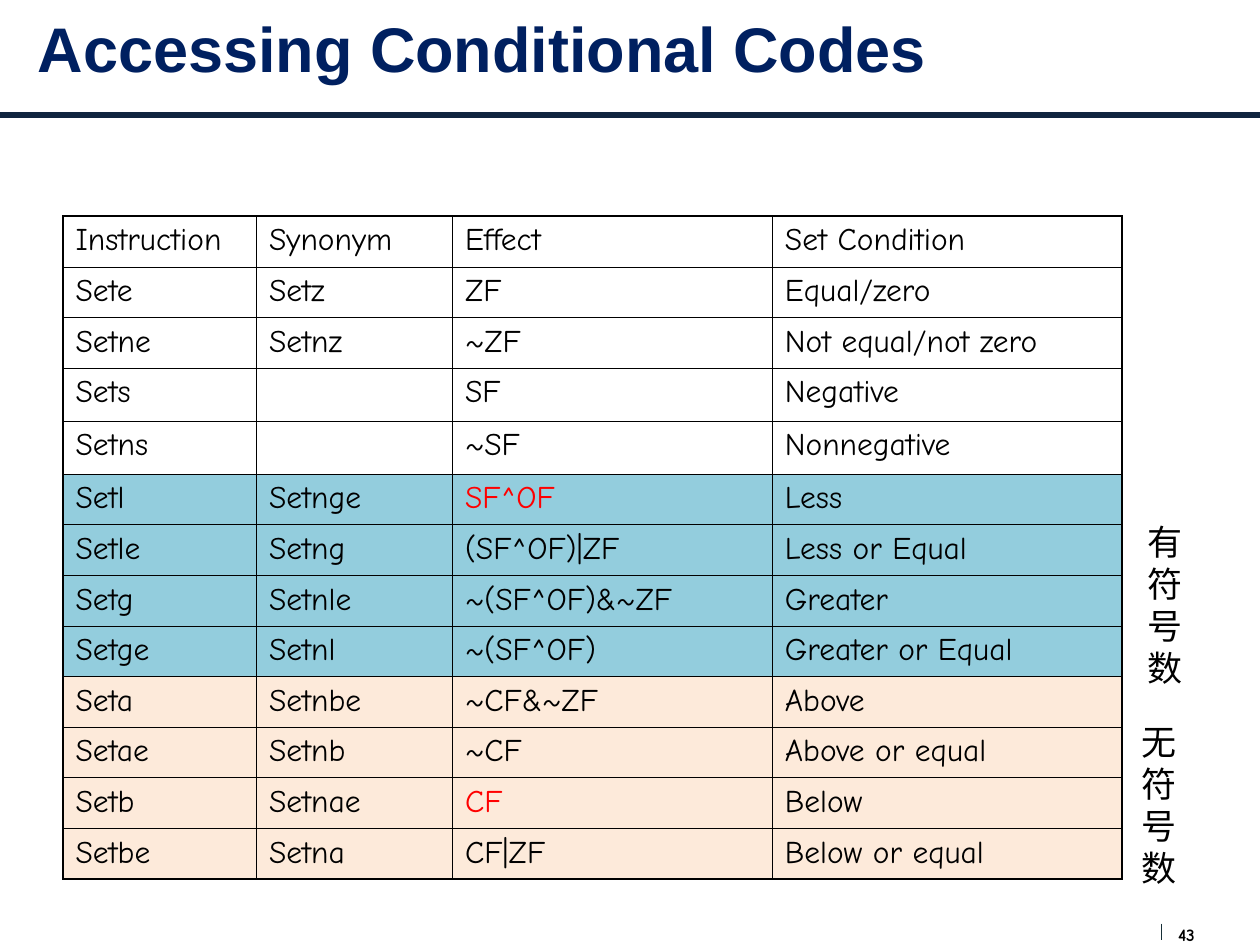
"""Build the slide on accessing conditional codes."""
from dataclasses import dataclass

from lxml.etree import SubElement
from pptx import Presentation
from pptx.dml.color import RGBColor
from pptx.enum.shapes import MSO_CONNECTOR
from pptx.enum.text import MSO_ANCHOR, MSO_AUTO_SIZE
from pptx.oxml.ns import qn
from pptx.util import Cm, Pt


@dataclass(frozen=True)
class Theme:
    heading_font: str = "Arial"
    body_font: str = "Comic Neue"
    title: str = "002060"
    rule: str = "10253F"
    tick: str = "172F37"
    ink: str = "000000"
    accent: str = "FF0000"
    signed: str = "93CDDD"
    unsigned: str = "FDEADA"
    title_size: float = 36
    label_size: float = 20
    cell_size: float = 18
    number_size: float = 10
    outer_border: float = 1.08
    inner_border: float = 0.45


class SlideBuilder:
    def __init__(self, slide, theme):
        self.s = slide
        self.theme = theme

    def style(self, p, size, color=None, font=None, bold=False):
        p.font.name = font or self.theme.body_font
        p.font.size = Pt(size)
        p.font.bold = bold
        p.font.color.rgb = RGBColor.from_string(color or self.theme.ink)

    def text(self, box, lines, size, wrap=True, inset=True,
             anchor=MSO_ANCHOR.TOP, **font):
        tf = self.s.shapes.add_textbox(*map(Cm, box)).text_frame
        tf.word_wrap = wrap
        tf.auto_size = MSO_AUTO_SIZE.NONE if wrap else MSO_AUTO_SIZE.SHAPE_TO_FIT_TEXT
        tf.vertical_anchor = anchor
        if not inset:
            tf.margin_left = tf.margin_right = tf.margin_top = tf.margin_bottom = 0
        tf.text = "\n".join(lines)
        for p in tf.paragraphs:
            self.style(p, size, **font)

    def line(self, start, end, color, width):
        ends = map(Cm, (*start, *end))
        c = self.s.shapes.add_connector(MSO_CONNECTOR.STRAIGHT, *ends)
        c.line.color.rgb = RGBColor.from_string(color)
        c.line.width = Pt(width)
        SubElement(c._element.spPr, qn("a:effectLst"))

    def border(self, cell, outer_sides):
        tc_pr = cell._tc.get_or_add_tcPr()
        for side in "LRTB":
            outer = side in outer_sides
            width = self.theme.outer_border if outer else self.theme.inner_border
            ln = SubElement(tc_pr, qn(f"a:ln{side}"), w=str(Pt(width)))
            fill = SubElement(ln, qn("a:solidFill"))
            SubElement(fill, qn("a:srgbClr"), val=self.theme.ink)

    def table(self, left, top, widths, heights, rows, fills, accents):
        box = map(Cm, (left, top, sum(widths), sum(heights)))
        table = self.s.shapes.add_table(len(rows), len(widths), *box).table
        table.first_row = table.horz_banding = False
        for column, width in zip(table.columns, widths):
            column.width = Cm(width)
        for row, height in zip(table.rows, heights):
            row.height = Cm(height)
        last_row, last_col = len(rows) - 1, len(widths) - 1
        for i, row in enumerate(rows):
            for j, value in enumerate(row):
                cell = table.cell(i, j)
                cell.text = value
                color = self.theme.accent if value in accents else self.theme.ink
                self.style(cell.text_frame.paragraphs[0], self.theme.cell_size, color)
                edges = {"L": j == 0, "R": j == last_col, "T": i == 0, "B": i == last_row}
                self.border(cell, [side for side, outer in edges.items() if outer])
                if fills[i]:
                    cell.fill.solid()
                    cell.fill.fore_color.rgb = RGBColor.from_string(fills[i])
                else:
                    cell.fill.background()


PLAIN_ROWS = [
    ("Instruction", "Synonym", "Effect", "Set Condition"),
    ("Sete", "Setz", "ZF", "Equal/zero"),
    ("Setne", "Setnz", "~ZF", "Not equal/not zero"),
    ("Sets", "", "SF", "Negative"),
    ("Setns", "", "~SF", "Nonnegative"),
]
SIGNED_ROWS = [
    ("Setl", "Setnge", "SF^OF", "Less"),
    ("Setle", "Setng", "(SF^OF)|ZF", "Less or Equal"),
    ("Setg", "Setnle", "~(SF^OF)&~ZF", "Greater"),
    ("Setge", "Setnl", "~(SF^OF)", "Greater or Equal"),
]
UNSIGNED_ROWS = [
    ("Seta", "Setnbe", "~CF&~ZF", "Above"),
    ("Setae", "Setnb", "~CF", "Above or equal"),
    ("Setb", "Setnae", "CF", "Below"),
    ("Setbe", "Setna", "CF|ZF", "Below or equal"),
]


def main():
    prs = Presentation()
    prs.slide_width, prs.slide_height = Cm(25.4), Cm(19.05)
    theme = Theme()
    b = SlideBuilder(prs.slides.add_slide(prs.slide_layouts[6]), theme)

    b.line((0, 2.32), (25.4, 2.32), theme.rule, 3)
    b.text((23.75, 18.62, 0.86, 0.43), ["43"], theme.number_size, inset=False, bold=True)
    b.line((23.42, 18.62), (23.42, 18.95), theme.tick, 0.75)
    b.text((0.51, 0, 23.5, 1.9), ["Accessing Conditional Codes"], theme.title_size,
           anchor=MSO_ANCHOR.MIDDLE, color=theme.title, font=theme.heading_font, bold=True)

    groups = [(PLAIN_ROWS, None), (SIGNED_ROWS, theme.signed), (UNSIGNED_ROWS, theme.unsigned)]
    rows = [row for group, _ in groups for row in group]
    fills = [fill for group, fill in groups for _ in group]
    heights = [1.02 if all(row) else 1.07 for row in rows]
    b.table(1.27, 4.36, (3.9, 3.95, 6.45, 7.05), heights, rows, fills, {"SF^OF", "CF"})

    for left, top, first in ((22.89, 10.36, "有符"), (22.76, 14.4, "无符")):
        b.text((left, top, 1.91, 1.96), [first, "号数"], theme.label_size, wrap=False)

    prs.save("out.pptx")


if __name__ == "__main__":
    main()
